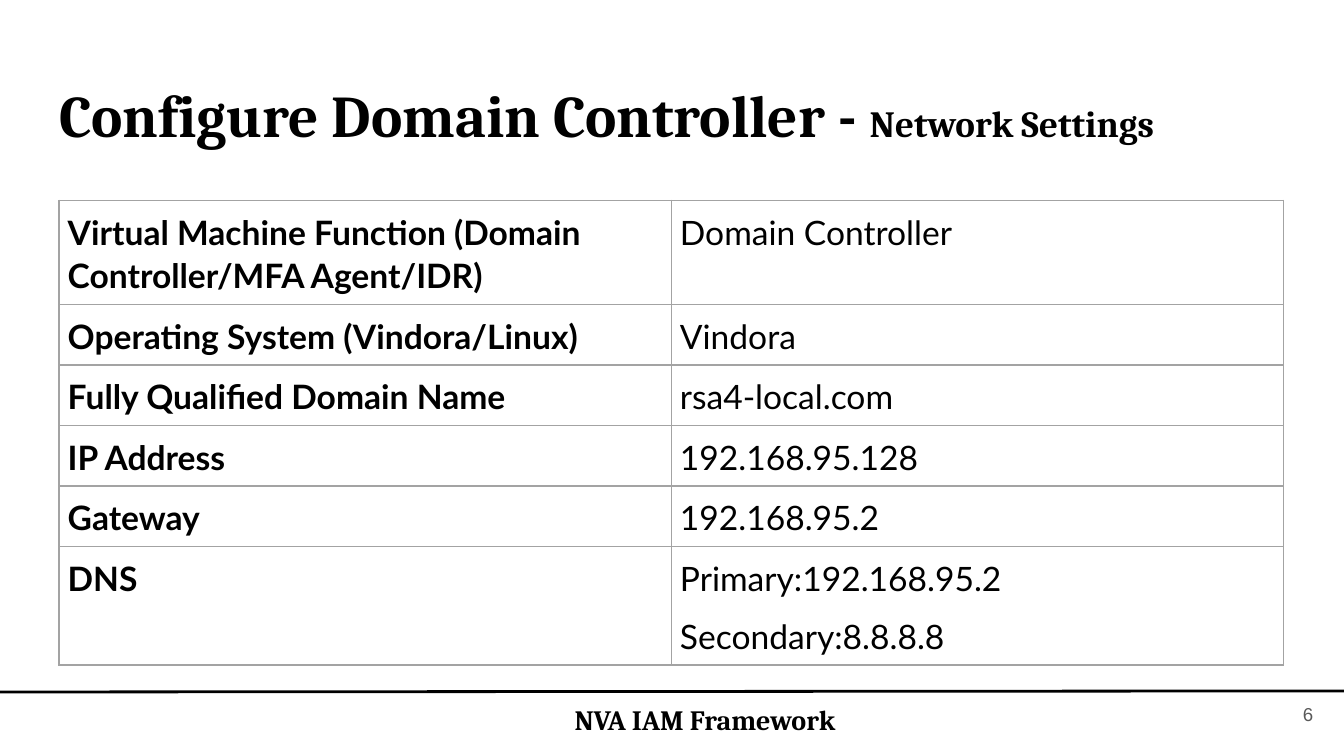
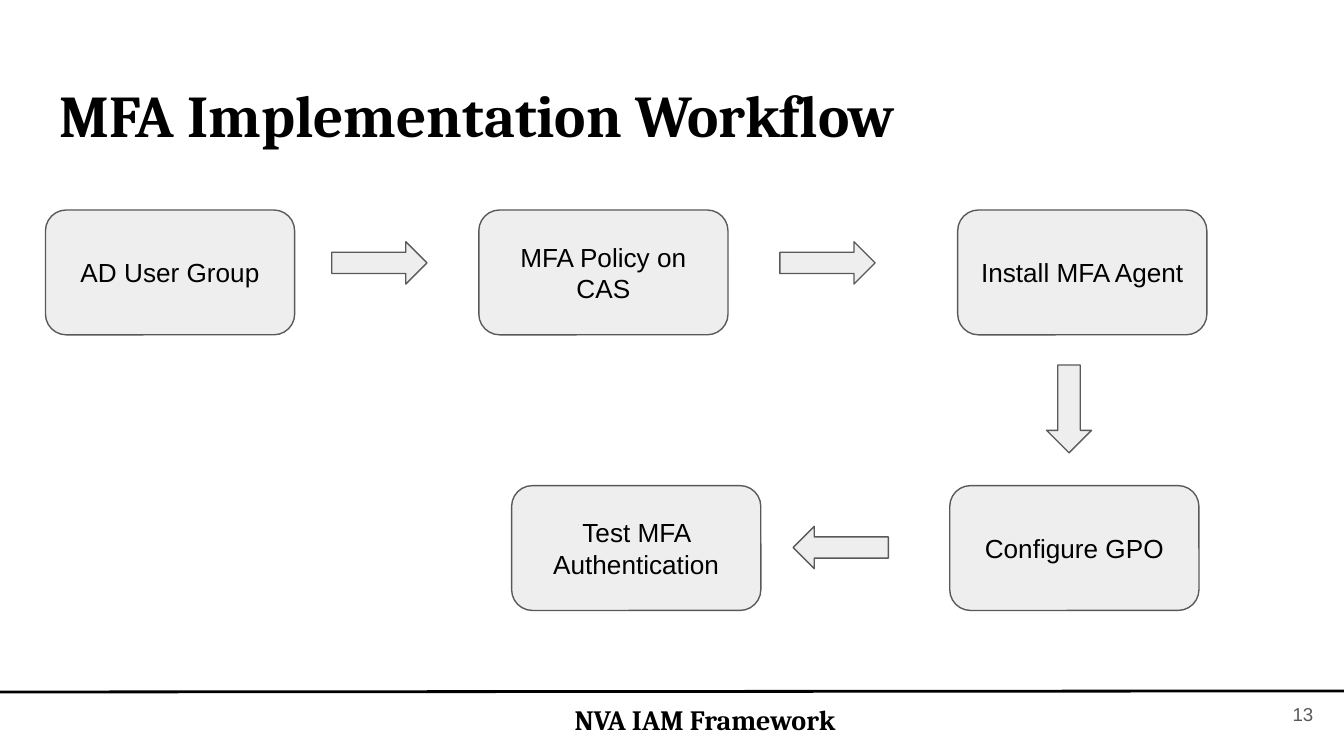
from dataclasses import dataclass

from lxml.etree import SubElement
from pptx import Presentation
from pptx.dml.color import RGBColor
from pptx.enum.shapes import MSO_CONNECTOR, MSO_SHAPE
from pptx.enum.text import MSO_ANCHOR, MSO_AUTO_SIZE, PP_ALIGN
from pptx.oxml import parse_xml
from pptx.oxml.ns import nsdecls, qn
from pptx.util import Cm, Pt


@dataclass(frozen=True)
class Theme:
    ink = RGBColor.from_string("000000")
    grey = RGBColor.from_string("595959")
    panel = RGBColor.from_string("EEEEEE")
    grid = "A3A3A3"
    serif = "Cambria"
    sans = "Arial"
    table_face = "Lato"
    title_size = Pt(31.7)
    subtitle_size = Pt(19.8)
    table_size = Pt(18)
    footer_size = Pt(15)
    node_size = Pt(14)
    number_size = Pt(10)


theme = Theme()


def style(para, face, size, color=theme.ink, bold=False, align=PP_ALIGN.LEFT):
    para.alignment = align
    para.font.name = face
    para.font.size = size
    para.font.bold = bold
    para.font.color.rgb = color


def set_frame(frame, anchor=MSO_ANCHOR.MIDDLE):
    """Apply the common wrapping, insets and anchor, and return the first paragraph."""
    frame.word_wrap = True
    frame.auto_size = MSO_AUTO_SIZE.NONE
    frame.vertical_anchor = anchor
    frame.margin_left = frame.margin_right = Cm(0.25)
    frame.margin_top = frame.margin_bottom = Cm(0.25)
    return frame.paragraphs[0]


deck = Presentation()
deck.slide_width, deck.slide_height = Cm(25.4), Cm(14.29)

# Title, rule, footer and page number on every page
headings = [
    ("6", "Configure Domain Controller - ", "Network Settings"),
    ("13", "MFA Implementation Workflow", ""),
]
pages = []
for number, heading, subheading in headings:
    page = deck.slides.add_slide(deck.slide_layouts[5])
    pages.append(page)

    title = page.shapes.title
    title.left, title.top, title.width, title.height = Cm(0.87), Cm(1.24), Cm(23.67), Cm(1.6)
    para = set_frame(title.text_frame, MSO_ANCHOR.TOP)
    style(para, theme.serif, theme.title_size, bold=True)
    para.add_run().text = heading
    if subheading:
        span = para.add_run()
        span.text = subheading
        span.font.size = theme.subtitle_size

    rule = page.shapes.add_connector(MSO_CONNECTOR.STRAIGHT, 0, Cm(13.08), deck.slide_width, Cm(13.06))
    rule.line.color.rgb = theme.ink
    rule.line.width = Pt(1.5)
    SubElement(rule._element.spPr, qn("a:effectLst"))

    footer = page.shapes.add_textbox(Cm(1.25), Cm(13.1), Cm(24.15), Cm(1))
    para = set_frame(footer.text_frame)
    para.text = "NVA IAM Framework"
    style(para, theme.serif, theme.footer_size, bold=True, align=PP_ALIGN.CENTER)

    page_number = page.shapes.add_textbox(Cm(23.55), Cm(12.95), Cm(1.52), Cm(1.09))
    para = set_frame(page_number.text_frame)
    para.text = number
    style(para, theme.sans, theme.number_size, theme.grey, align=PP_ALIGN.RIGHT)

settings_page, workflow_page = pages

# Network settings: label, values, row height
settings = [
    ("Virtual Machine Function (Domain Controller/MFA Agent/IDR)", ["Domain Controller"], 0.97),
    ("Operating System (Vindora/Linux)", ["Vindora"], 0.76),
    ("Fully Qualified Domain Name", ["rsa4-local.com"], 0.74),
    ("IP Address", ["192.168.95.128"], 0.74),
    ("Gateway", ["192.168.95.2"], 0.74),
    ("DNS", ["Primary:192.168.95.2", "Secondary:8.8.8.8"], 1.52),
]
table = settings_page.shapes.add_table(
    len(settings), 2, Cm(1.12), Cm(3.79), Cm(23.14), Cm(sum(row[2] for row in settings))
).table
table.first_row = table.horz_banding = False
for column in table.columns:
    column.width = Cm(11.57)

for row_index, (label, values, height) in enumerate(settings):
    table.rows[row_index].height = Cm(height)
    for column_index, lines in enumerate([[label], values]):
        cell = table.cell(row_index, column_index)
        cell.fill.background()
        cell.margin_left = cell.margin_right = Cm(0.16)
        cell.margin_top = cell.margin_bottom = Cm(0.16)
        cell.text = "\n".join(lines)
        for line_index, para in enumerate(cell.text_frame.paragraphs):
            style(para, theme.table_face, theme.table_size, bold=column_index == 0)
            para.line_spacing = 1.08
            para.space_before = Pt(8 if line_index else 0)
            para.space_after = Pt(8 if line_index == len(lines) - 1 else 0)
        for position, side in enumerate("LRTB"):
            border = parse_xml(
                f'<a:ln{side} {nsdecls("a")} w="{Pt(1)}"><a:solidFill>'
                f'<a:srgbClr val="{theme.grid}"/></a:solidFill></a:ln{side}>'
            )
            cell._tc.get_or_add_tcPr().insert(position, border)

# Workflow steps and the arrows between them: shape, left, top, width, height, text
box, right = MSO_SHAPE.ROUNDED_RECTANGLE, MSO_SHAPE.RIGHT_ARROW
box_size, arrow_size = (4.71, 2.36), (1.8, 0.8)
upper, lower = 3.97, 9.18
steps = [
    (box, 0.86, upper, *box_size, "AD User Group"),
    (right, 6.27, 4.57, *arrow_size, ""),
    (box, 9.05, upper, *box_size, "MFA Policy on CAS"),
    (right, 14.74, 4.57, *arrow_size, ""),
    (box, 18.1, upper, *box_size, "Install MFA Agent"),
    (MSO_SHAPE.DOWN_ARROW, 19.78, 6.9, 0.85, 1.66, ""),
    (box, 17.95, lower, *box_size, "Configure GPO"),
    (MSO_SHAPE.LEFT_ARROW, 14.99, 9.95, *arrow_size, ""),
    (box, 9.67, lower, *box_size, "Test MFA Authentication"),
]
for kind, left, top, width, height, text in steps:
    step = workflow_page.shapes.add_shape(kind, Cm(left), Cm(top), Cm(width), Cm(height))
    step.shadow.inherit = False
    step.fill.solid()
    step.fill.fore_color.rgb = theme.panel
    step.line.color.rgb = theme.grey
    step.line.width = Pt(0.75)
    if text:
        para = set_frame(step.text_frame)
        para.text = text
        style(para, theme.sans, theme.node_size, align=PP_ALIGN.CENTER)

deck.save("out.pptx")
